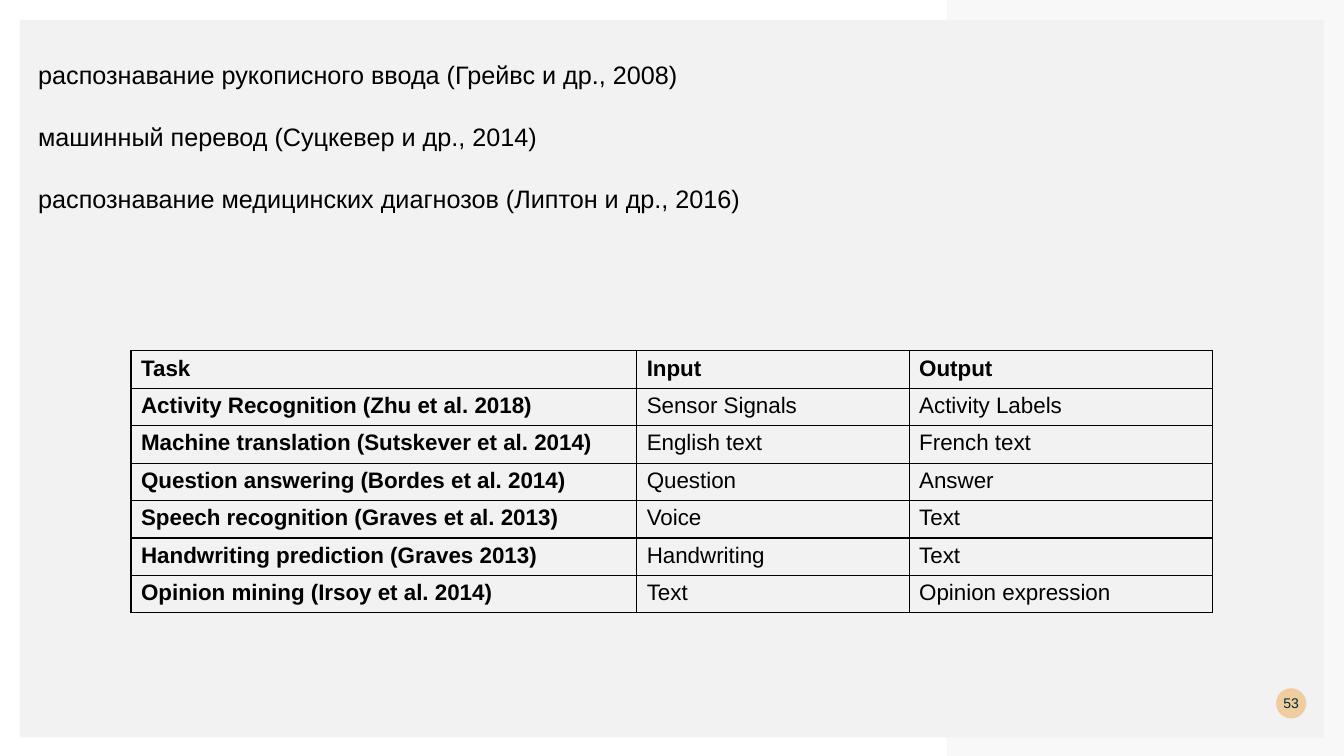
import pptx
import pptx.dml.color
import pptx.enum.shapes
import pptx.enum.text
import pptx.oxml
import pptx.oxml.ns
import pptx.util
from lxml import etree

Pt = pptx.util.Pt
RGB = pptx.dml.color.RGBColor

APPLICATIONS = [
    "распознавание рукописного ввода (Грейвс и др., 2008)",
    "машинный перевод (Суцкевер и др., 2014)",
    "распознавание медицинских диагнозов (Липтон и др., 2016)",
]
TASKS = [
    ("Task", "Input", "Output"),
    ("Activity Recognition (Zhu et al. 2018)", "Sensor Signals", "Activity Labels"),
    ("Machine translation (Sutskever et al. 2014)", "English text", "French text"),
    ("Question answering (Bordes et al. 2014)", "Question", "Answer"),
    ("Speech recognition (Graves et al. 2013)", "Voice", "Text"),
    ("Handwriting prediction (Graves 2013)", "Handwriting", "Text"),
    ("Opinion mining (Irsoy et al. 2014)", "Text", "Opinion expression"),
]
PAGE_NUMBER = "53"

FONT = "Arial"
BLACK = RGB(0x00, 0x00, 0x00)
PANEL_GREY = RGB(0xF2, 0xF2, 0xF2)
BADGE_SAND = RGB(0xF0, 0xCD, 0xA1)
BADGE_INK = RGB(0x00, 0x29, 0x2E)

SLIDE_W, SLIDE_H = 960, 540
MARGIN = 14.2
BAND_LEFT = 676.6
COLUMN_WIDTHS = [361.2, 194.6, 216.6]
ROW_HEIGHT = 26.74


def paint(shape, colour):
    shape.shadow.inherit = False
    shape.fill.solid()
    shape.fill.fore_color.rgb = colour
    shape.line.fill.background()


def add_run(paragraph, text, size, colour=BLACK, bold=False):
    run = paragraph.add_run()
    run.text = text
    run.font.name = FONT
    run.font.size = Pt(size)
    run.font.bold = bold
    run.font.color.rgb = colour


def add_borders(cell):
    properties = cell._tc.get_or_add_tcPr()
    for side in ("lnL", "lnR", "lnT", "lnB"):
        properties.append(pptx.oxml.parse_xml(
            f'<a:{side} {pptx.oxml.ns.nsdecls("a")} w="{Pt(1)}">'
            f'<a:solidFill><a:srgbClr val="{BLACK}"/></a:solidFill></a:{side}>'))


def add_background(slide):
    panel = slide.shapes.add_shape(
        pptx.enum.shapes.MSO_SHAPE.RECTANGLE, Pt(MARGIN), Pt(MARGIN), Pt(931.6), Pt(512.6))
    paint(panel, PANEL_GREY)

    inner_right, inner_bottom = SLIDE_W - MARGIN, SLIDE_H - MARGIN
    corners = [
        (BAND_LEFT, 0), (SLIDE_W, 0), (SLIDE_W, SLIDE_H), (BAND_LEFT, SLIDE_H),
        (BAND_LEFT, inner_bottom), (inner_right, inner_bottom),
        (inner_right, MARGIN), (BAND_LEFT, MARGIN),
    ]
    points = [(Pt(x), Pt(y)) for x, y in corners]
    outline = slide.shapes.build_freeform(*points[0])
    outline.add_line_segments(points[1:], close=True)
    band = outline.convert_to_shape()
    paint(band, PANEL_GREY)
    colour = band._element.spPr.find(".//" + pptx.oxml.ns.qn("a:srgbClr"))
    etree.SubElement(colour, pptx.oxml.ns.qn("a:alpha"), val="50000")


def add_page_badge(slide):
    badge = slide.shapes.add_shape(
        pptx.enum.shapes.MSO_SHAPE.OVAL, Pt(911.5), Pt(491.6), Pt(21.6), Pt(21.6))
    paint(badge, BADGE_SAND)
    frame = badge.text_frame
    frame.margin_left = frame.margin_right = frame.margin_top = frame.margin_bottom = 0
    frame.word_wrap = False
    frame.vertical_anchor = pptx.enum.text.MSO_ANCHOR.MIDDLE
    number = frame.paragraphs[0]
    number.alignment = pptx.enum.text.PP_ALIGN.CENTER
    add_run(number, PAGE_NUMBER, 10, BADGE_INK)


def add_applications(slide):
    frame = slide.shapes.add_textbox(Pt(20.2), Pt(38.9), Pt(847.4), Pt(116.6)).text_frame
    frame.word_wrap = True
    for index, application in enumerate(APPLICATIONS):
        paragraph = frame.add_paragraph() if index else frame.paragraphs[0]
        if index:
            paragraph.space_before = Pt(22.5)
        add_run(paragraph, application, 18)


def add_task_table(slide):
    table = slide.shapes.add_table(
        len(TASKS), len(COLUMN_WIDTHS), Pt(93.6), Pt(250.6),
        Pt(sum(COLUMN_WIDTHS)), Pt(ROW_HEIGHT * len(TASKS))).table
    table.first_row = table.horz_banding = False
    for column, width in zip(table.columns, COLUMN_WIDTHS):
        column.width = Pt(width)
    for r, task in enumerate(TASKS):
        table.rows[r].height = Pt(ROW_HEIGHT)
        for c, text in enumerate(task):
            cell = table.cell(r, c)
            add_borders(cell)
            cell.fill.background()
            add_run(cell.text_frame.paragraphs[0], text, 16, bold=r == 0 or c == 0)


def main():
    deck = pptx.Presentation()
    deck.slide_width, deck.slide_height = Pt(SLIDE_W), Pt(SLIDE_H)
    slide = deck.slides.add_slide(deck.slide_layouts[6])
    add_background(slide)
    add_page_badge(slide)
    add_applications(slide)
    add_task_table(slide)
    deck.save("out.pptx")


if __name__ == "__main__":
    main()
